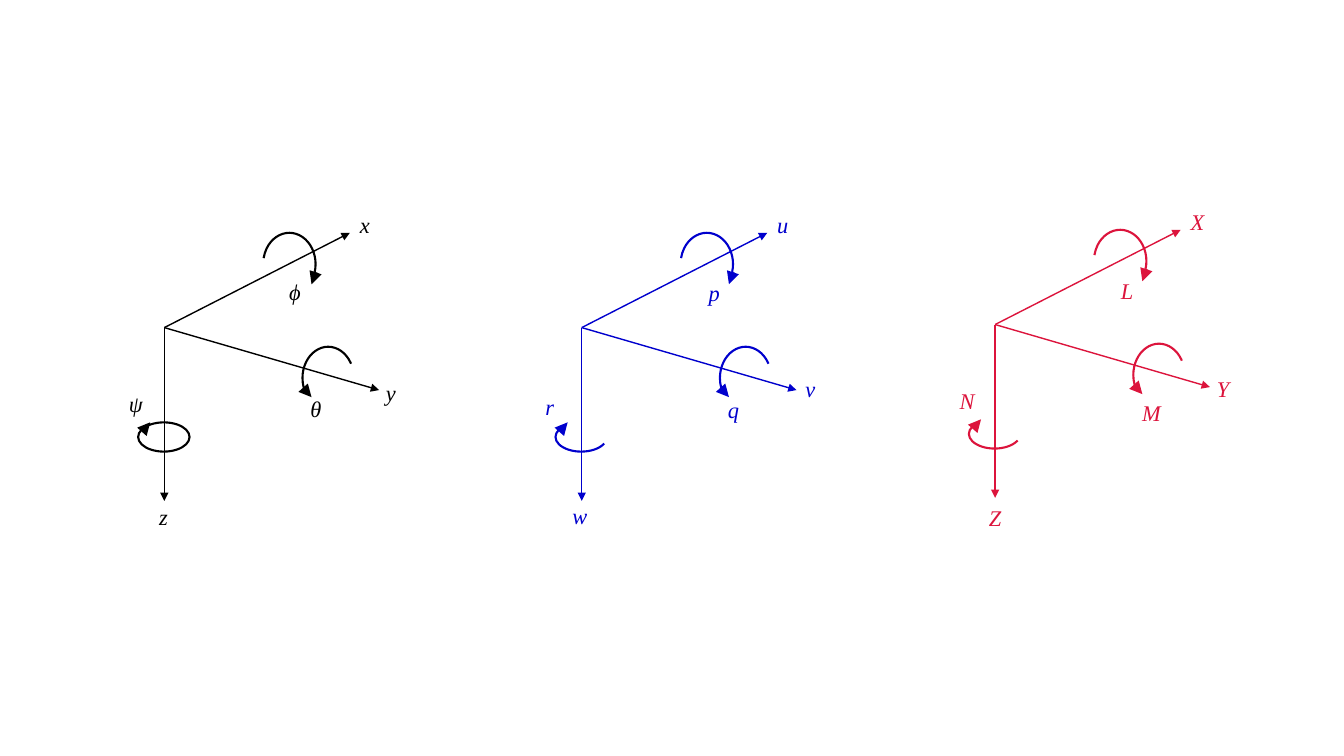
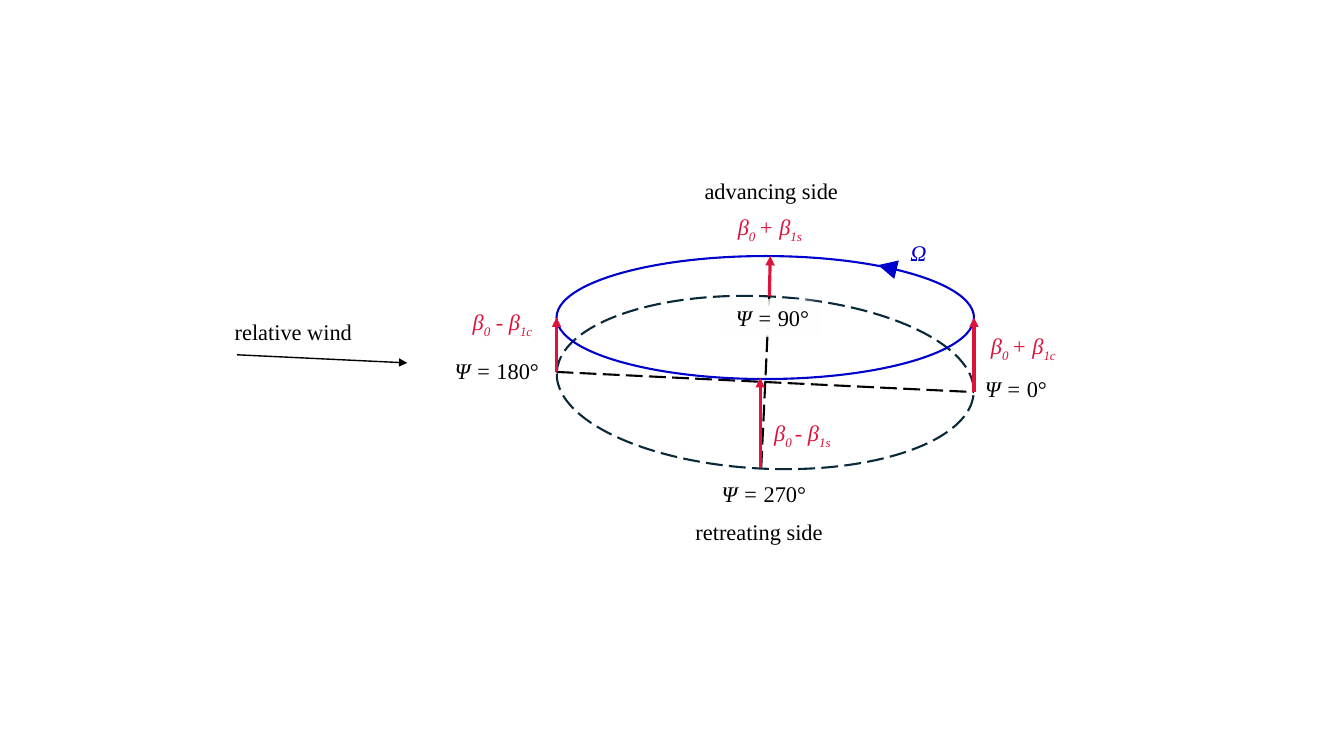
from dataclasses import dataclass
from typing import NamedTuple

from pptx import Presentation
from pptx.dml.color import RGBColor
from pptx.enum.dml import MSO_LINE
from pptx.enum.shapes import MSO_CONNECTOR, MSO_SHAPE
from pptx.oxml import parse_xml
from pptx.oxml.ns import nsdecls
from pptx.oxml.xmlchemy import OxmlElement
from pptx.util import Pt

PX = 9144
FONT = "Times New Roman"
BLACK = RGBColor(0, 0, 0)
BLUE = RGBColor(0x00, 0x00, 0xCD)
RED = RGBColor(0xDC, 0x14, 0x3C)
TEAL = RGBColor(0x09, 0x2A, 0x39)
GLOW = f"""<a:gradFill {nsdecls('a')} rotWithShape="1"><a:gsLst>
<a:gs pos="18000"><a:srgbClr val="FFFFFF"/></a:gs>
<a:gs pos="99000"><a:srgbClr val="FFFFFF"><a:alpha val="0"/></a:srgbClr></a:gs>
</a:gsLst><a:path path="circle">
<a:fillToRect l="50000" t="50000" r="50000" b="50000"/>
</a:path></a:gradFill>"""


class Run(NamedTuple):
    text: str
    italic: bool = True
    sub: bool = False


class Label(NamedTuple):
    x: int
    y: int
    runs: list[Run]
    color: RGBColor = BLACK
    width: int = 130
    glow: bool = False


class Line(NamedTuple):
    x1: int
    y1: int
    x2: int
    y2: int


class Loop(NamedTuple):
    x: int
    y: int
    width: int
    height: int
    start: int
    end: int


@dataclass
class Frame:
    x: int
    y: int
    color: RGBColor
    marks: list[tuple[str, int, int]]
    closed: bool = False


AXES = [Line(0, 0, 0, 172), Line(0, 0, 184, -94), Line(0, 0, 213, 62)]
TIPS = [Line(150, -55, 146, -43), Line(138, 60, 146, 69), Line(-21, 102, -14, 94)]
LOOPS = [
    Loop(98, -94, 52, 62, 193, 17),
    Loop(137, 19, 51, 62, 158, 328),
    Loop(-26, 94, 51, 29, 16, 200),
]
FRAMES = [
    Frame(163, 325, BLACK, [
        ("x", 184, -120), ("y", 210, 46), ("z", -15, 169),
        ("ϕ", 114, -54), ("θ", 135, 62), ("ψ", -45, 57),
    ], closed=True),
    Frame(577, 325, BLUE, [
        ("u", 184, -120), ("v", 212, 42), ("w", -19, 168),
        ("p", 116, -53), ("q", 135, 63), ("r", -46, 60),
    ]),
    Frame(987, 322, RED, [
        ("X", 184, -120), ("Y", 210, 45), ("Z", -16, 173),
        ("L", 115, -52), ("M", 136, 69), ("N", -45, 57),
    ]),
]


def text(shapes, x: int, y: int, runs: list[Run], *, color: RGBColor = BLACK,
         width: int = 130, glow: bool = False) -> None:
    box = shapes.add_textbox(x * PX, y * PX, width * PX, 37 * PX)
    if glow:
        fill = box._element.spPr.find(".//{*}noFill")
        fill.getparent().replace(fill, parse_xml(GLOW))
    box.text_frame.word_wrap = True
    line = box.text_frame.paragraphs[0]
    for part in runs:
        run = line.add_run()
        run.text = part.text
        run.font.name = FONT
        run.font.size = Pt(16)
        run.font.italic = part.italic
        run.font.color.rgb = color
        if part.sub:
            run._r.get_or_add_rPr().set("baseline", "-25000")


def stroke(shapes, line: Line, color: RGBColor, weight: float, *, dx: int = 0,
           dy: int = 0, dash: bool = False, head: bool = True) -> None:
    link = shapes.add_connector(
        MSO_CONNECTOR.STRAIGHT, (line.x1 + dx) * PX, (line.y1 + dy) * PX,
        (line.x2 + dx) * PX, (line.y2 + dy) * PX)
    link.line.color.rgb = color
    link.line.width = Pt(weight)
    if dash:
        link.line.dash_style = MSO_LINE.LONG_DASH
    if head:
        tip = OxmlElement("a:tailEnd")
        tip.set("type", "triangle")
        link.line._get_or_add_ln().append(tip)
    link._element.spPr.append(OxmlElement("a:effectLst"))


def ring(shapes, x: int, y: int, width: int, height: int, color: RGBColor,
         kind: MSO_SHAPE = MSO_SHAPE.OVAL):
    shape = shapes.add_shape(kind, x * PX, y * PX, width * PX, height * PX)
    shape.shadow.inherit = False
    shape.fill.background()
    shape.line.color.rgb = color
    shape.line.width = Pt(1.5)
    return shape


def draw_frame(shapes, frame: Frame) -> None:
    for loop in LOOPS:
        full = frame.closed and loop is LOOPS[-1]
        kind = MSO_SHAPE.OVAL if full else MSO_SHAPE.ARC
        arc = ring(shapes, frame.x + loop.x, frame.y + loop.y,
                   loop.width, loop.height, frame.color, kind)
        if not full:
            arc.adjustments[0] = loop.start * 0.6
            arc.adjustments[1] = loop.end * 0.6
    for lines, weight in ((AXES, 1), (TIPS, 3)):
        for line in lines:
            stroke(shapes, line, frame.color, weight, dx=frame.x, dy=frame.y)
    for mark, x, y in frame.marks:
        text(shapes, frame.x + x, frame.y + y, [Run(mark)],
             color=frame.color, width=40)


def beta(gap: str, sign: str, tail: str) -> list[Run]:
    return [Run("β"), Run("0" + gap, sub=True), Run(f"{sign} β"), Run(tail, sub=True)]


def psi(angle: int) -> list[Run]:
    return [Run("Ψ = "), Run(f"{angle}°", italic=False)]


def plain(words: str) -> list[Run]:
    return [Run(words, italic=False)]


FLAPS = [
    Line(552, 369, 552, 315), Line(966, 389, 966, 315),
    Line(754, 464, 754, 375), Line(763, 294, 764, 254),
]
CROSS = [Line(552, 369, 966, 389), Line(755, 464, 763, 294)]
LABELS = [
    Label(973, 325, beta(" ", "+", "1c"), RED),
    Label(893, 232, [Run("Ω")], BLUE),
    Label(459, 301, beta("", " -", "1c"), RED),
    Label(722, 207, beta(" ", "+", "1s"), RED),
    Label(758, 411, beta(" ", "-", "1s"), RED),
    Label(967, 367, psi(0)),
    Label(706, 471, psi(270)),
    Label(441, 349, psi(180)),
    Label(720, 297, psi(90), width=93, glow=True),
    Label(680, 509, plain("retreating side"), width=160),
    Label(689, 171, plain("advancing side"), width=160),
    Label(223, 311, plain("relative wind"), width=150),
]


def draw_disc(shapes) -> None:
    disc = shapes.add_group_shape().shapes
    base = ring(disc, 552, 294, 414, 171, TEAL)
    base.rotation = 2.8
    base.line.dash_style = MSO_LINE.LONG_DASH
    for line in CROSS:
        stroke(disc, line, BLACK, 1.5, dash=True, head=False)
    ring(disc, 552, 254, 414, 122, BLUE)
    for line in FLAPS:
        stroke(disc, line, RED, 2.25)
    stroke(shapes, Line(883, 266, 871, 263), BLUE, 4.5)
    stroke(shapes, Line(235, 352, 404, 360), BLACK, 1)
    for label in LABELS:
        text(shapes, label.x, label.y, label.runs, color=label.color,
             width=label.width, glow=label.glow)


def main() -> None:
    deck = Presentation()
    deck.slide_width = 1333 * PX
    deck.slide_height = 750 * PX
    blank = deck.slide_layouts[6]
    axes = deck.slides.add_slide(blank).shapes
    for frame in FRAMES:
        draw_frame(axes, frame)
    draw_disc(deck.slides.add_slide(blank).shapes)
    deck.save("out.pptx")


if __name__ == "__main__":
    main()
